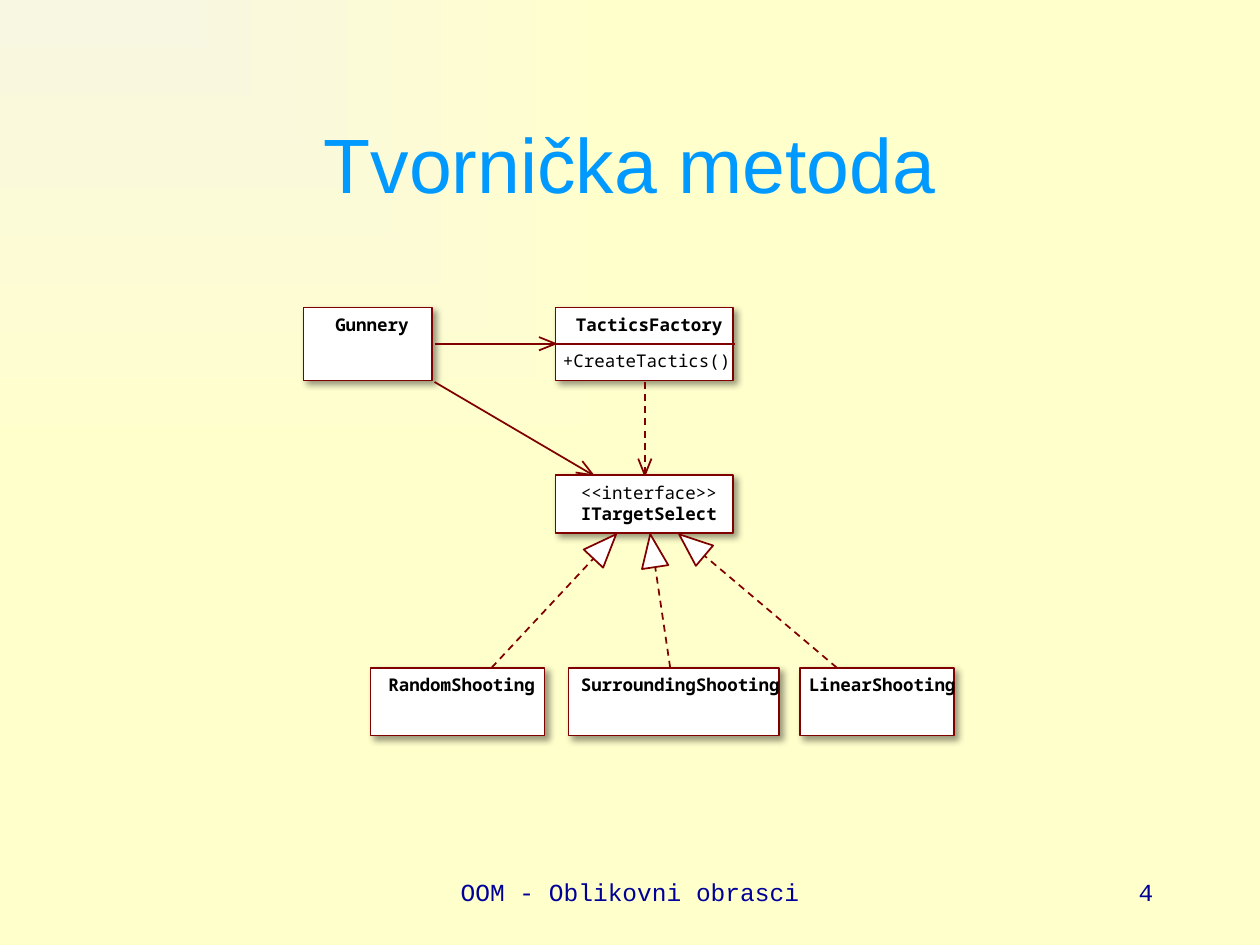
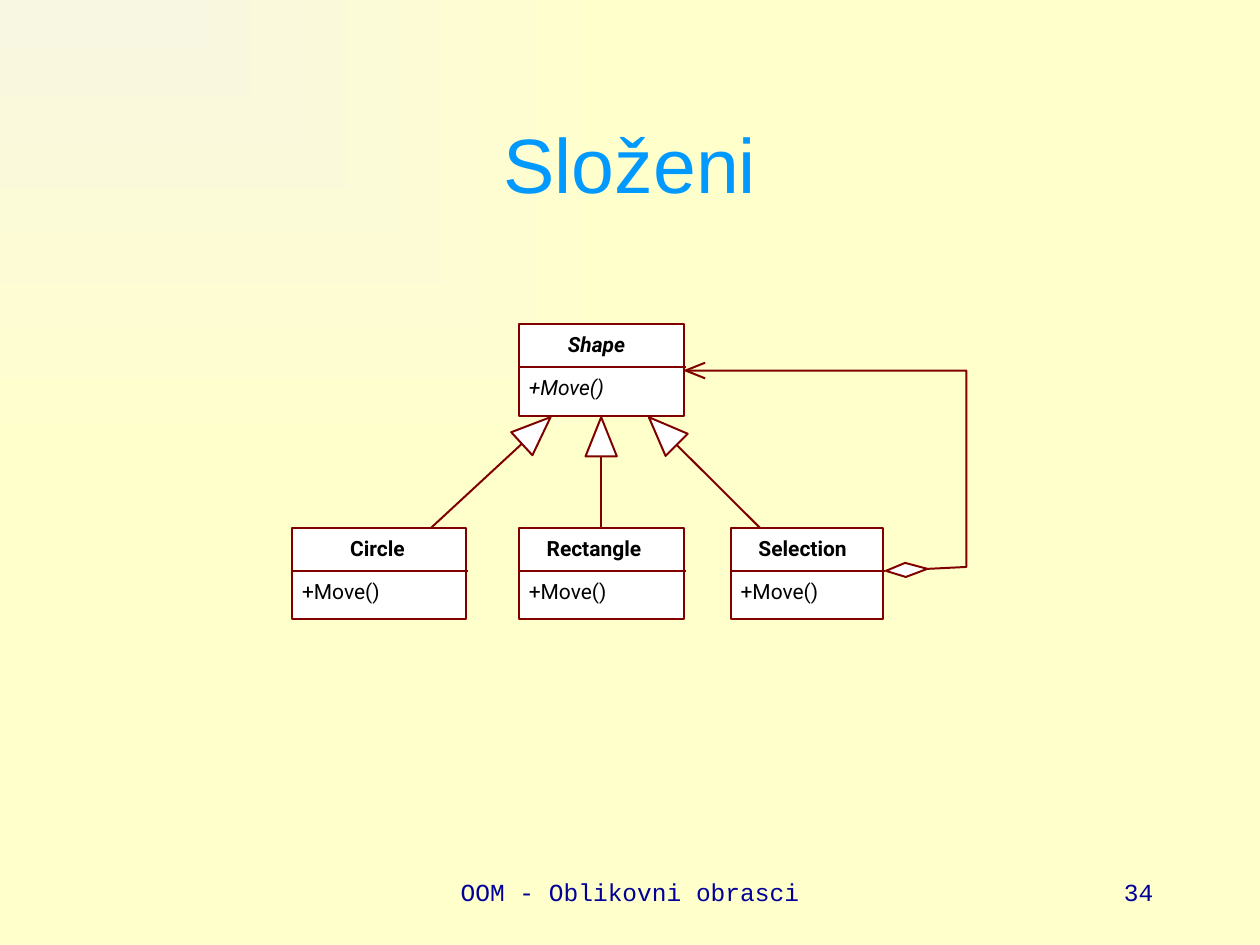
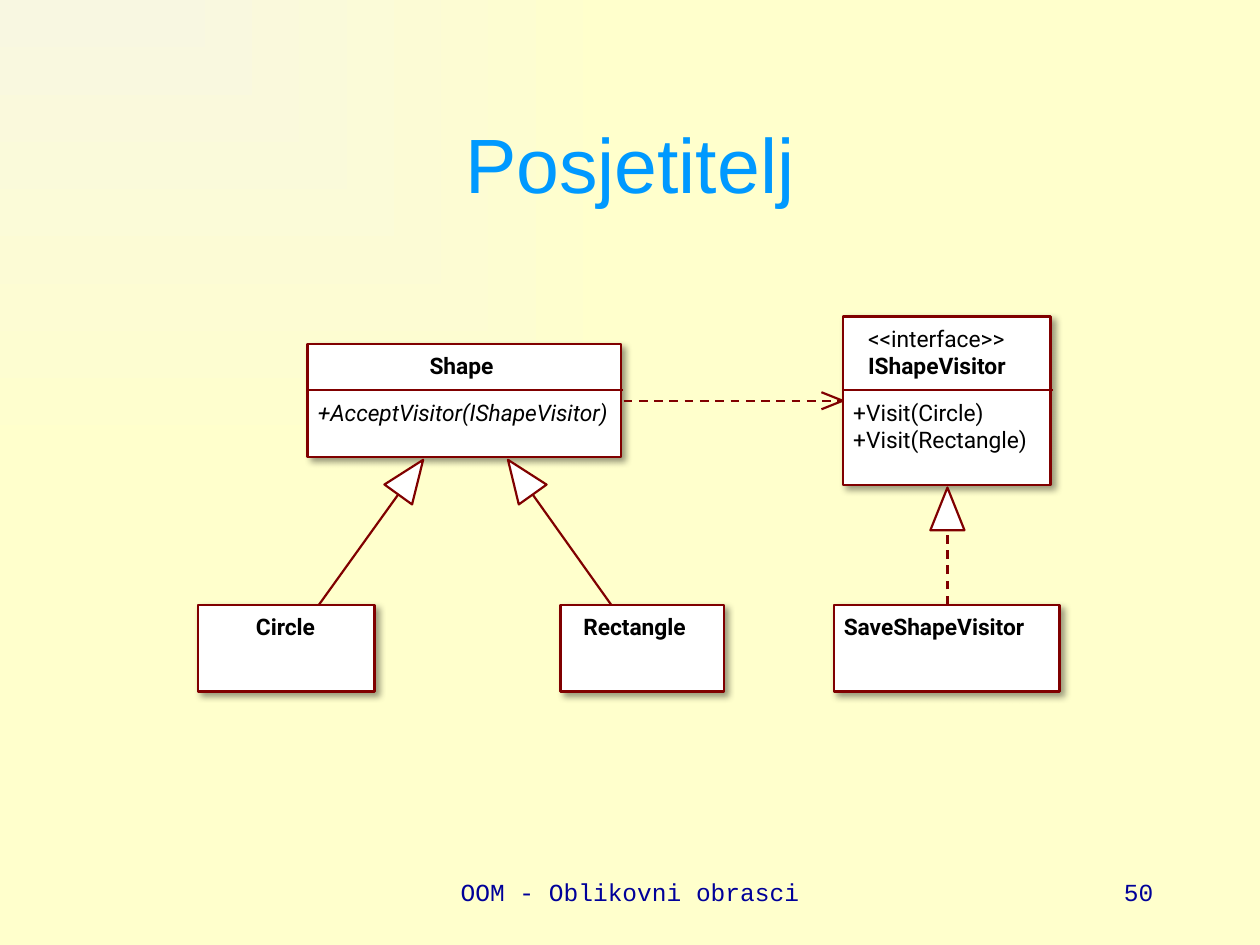
"""Builds three slides of UML class diagrams on design patterns."""

from dataclasses import dataclass
from math import hypot

from lxml.etree import SubElement as Sub
from pptx import Presentation as Deck
from pptx.dml.color import RGBColor as Rgb
from pptx.enum.dml import MSO_LINE as Dash
from pptx.enum.shapes import MSO_CONNECTOR as Wire, MSO_SHAPE as Form
from pptx.enum.text import MSO_ANCHOR as Anchor, MSO_AUTO_SIZE as Fit, PP_ALIGN as Align
from pptx.oxml.ns import qn
from pptx.shapes.group import GroupShape as Group
from pptx.slide import Slide
from pptx.util import Cm, Pt

Point = tuple[float, float]


@dataclass(frozen=True)
class Theme:
    glow: str = "F8F7E1"
    page: str = "FFFFCC"
    title: str = "0099FF"
    foot: str = "000099"
    line: str = "800000"
    fill: str = "FFFFFF"
    text: str = "000000"
    title_font: str = "Arial"
    foot_font: str = "Courier New"
    title_size: int = 44
    foot_size: int = 14
    foot_text: str = "OOM - Oblikovni obrasci"


@dataclass(frozen=True)
class Style:
    font: str
    size: int
    line: float
    head: float
    pad: float
    step: float
    gap: float
    side: float
    shade: bool = True


@dataclass(frozen=True)
class Word:
    text: str
    bold: bool = False
    slant: bool = False


@dataclass(frozen=True)
class Box:
    left: float
    top: float
    width: float
    height: float
    indent: float
    names: tuple[Word, ...]
    calls: tuple[Word, ...] = ()


@dataclass(frozen=True)
class Head:
    points: tuple[Point, ...]
    closed: bool = True


@dataclass(frozen=True)
class Link:
    points: tuple[Point, ...]
    head: Head
    dash: bool = False
    tail: Head | None = None


@dataclass(frozen=True)
class Page:
    title: str
    number: int
    style: Style
    boxes: tuple[Box, ...]
    links: tuple[Link, ...]


THEME = Theme()
KIND = Head(((1, 0.4), (0, 0), (1, -0.4)))
OPEN = Head(((0.5, 0.2), (0, 0), (0.5, -0.2)), False)
GEM = Head(((0.5, 0.18), (0, 0), (0.5, -0.18), (1.06, 0)))


def name(text: str, slant: bool = False) -> Word:
    return Word(text, True, slant)


def paint_page(deck: Deck) -> None:
    fill = deck.slide_master.background.fill
    fill.gradient()
    for stop, tint in zip(fill.gradient_stops, (THEME.glow, THEME.page)):
        stop.color.rgb = Rgb.from_string(tint)
    fill.gradient_stops[0].position, fill.gradient_stops[1].position = 0, 1
    grad = deck.slide_master.element.find(".//" + qn("p:bgPr") + "/" + qn("a:gradFill"))
    for lin in grad.findall(qn("a:lin")):
        grad.remove(lin)
    route = Sub(grad, qn("a:path"), {"path": "rect"})
    Sub(route, qn("a:fillToRect"), {"r": "100000", "b": "100000"})


def add_run(para, word: Word, font: str, size: int, tint: str) -> None:
    run = para.add_run()
    run.text = word.text
    run.font.name, run.font.size = font, Pt(size)
    run.font.bold, run.font.italic = word.bold, word.slant
    run.font.color.rgb = Rgb.from_string(tint)


def add_band(slide: Slide, text: str, left: float, top: float, width: float, height: float,
             align: Align, font: str, size: int, tint: str) -> None:
    frame = slide.shapes.add_textbox(Cm(left), Cm(top), Cm(width), Cm(height)).text_frame
    frame.word_wrap = True
    frame.vertical_anchor = Anchor.MIDDLE
    para = frame.paragraphs[0]
    para.alignment = align
    add_run(para, Word(text), font, size, tint)


def add_label(group: Group, word: Word, left: float, top: float, style: Style) -> None:
    width, height = 0.23 * len(word.text) + 0.3, 0.057 * style.size
    frame = group.shapes.add_textbox(Cm(left), Cm(top), Cm(width), Cm(height)).text_frame
    frame.margin_left = frame.margin_right = frame.margin_top = frame.margin_bottom = 0
    frame.word_wrap = False
    frame.auto_size = Fit.SHAPE_TO_FIT_TEXT
    add_run(frame.paragraphs[0], word, style.font, style.size, THEME.text)


def ink(shape, style: Style, dash: bool = False) -> None:
    shape.line.color.rgb = Rgb.from_string(THEME.line)
    shape.line.width = Pt(style.line)
    if dash:
        shape.line.dash_style = Dash.DASH


def coat(shape, style: Style, solid: bool) -> None:
    shape.shadow.inherit = False
    if solid:
        shape.fill.solid()
        shape.fill.fore_color.rgb = Rgb.from_string(THEME.fill)
    else:
        shape.fill.background()
    ink(shape, style)


def add_line(group: Group, start: Point, end: Point, style: Style, dash: bool = False) -> None:
    line = group.shapes.add_connector(Wire.STRAIGHT, *map(Cm, start + end))
    ink(line, style, dash)
    Sub(line.element.find(qn("p:spPr")), qn("a:effectLst"))


def add_path(group: Group, points: list[Point], style: Style, closed: bool) -> None:
    first, *rest = [(Cm(x), Cm(y)) for x, y in points]
    pen = group.shapes.build_freeform(*first)
    pen.add_line_segments(rest, close=closed)
    coat(pen.convert_to_shape(), style, closed)


def add_head(group: Group, head: Head, tip: Point, back: Point, style: Style) -> None:
    run, rise = back[0] - tip[0], back[1] - tip[1]
    unit = style.head / hypot(run, rise)
    points = [(tip[0] + unit * (a * run - b * rise), tip[1] + unit * (a * rise + b * run))
              for a, b in head.points]
    add_path(group, points, style, head.closed)


def add_shade(shape) -> None:
    room = shape.element.spPr.find(qn("a:effectLst"))
    shade = Sub(room, qn("a:outerShdw"), {
        "blurRad": str(Pt(4)), "dist": str(Pt(3)), "dir": "2700000",
        "algn": "tl", "rotWithShape": "0"})
    tint = Sub(shade, qn("a:srgbClr"), {"val": THEME.text})
    Sub(tint, qn("a:alpha"), {"val": "40000"})


def add_box(group: Group, box: Box, style: Style) -> None:
    shape = group.shapes.add_shape(
        Form.RECTANGLE, Cm(box.left), Cm(box.top), Cm(box.width), Cm(box.height))
    coat(shape, style, True)
    if style.shade:
        add_shade(shape)
    for row, word in enumerate(box.names):
        add_label(group, word, box.left + box.indent, box.top + style.pad + row * style.step, style)
    if box.calls:
        split = box.top + len(box.names) * style.step + style.gap
        add_line(group, (box.left, split), (box.left + box.width + 0.04, split), style)
        for row, word in enumerate(box.calls):
            add_label(group, word, box.left + style.side, split + style.pad + row * style.step, style)


def add_link(group: Group, link: Link, style: Style) -> None:
    points = link.points
    if len(points) == 2:
        add_line(group, *points, style, link.dash)
    else:
        add_path(group, list(points), style, False)
    add_head(group, link.head, points[-1], points[-2], style)
    if link.tail:
        add_head(group, link.tail, points[0], points[1], style)


def add_page(deck: Deck, page: Page) -> None:
    slide = deck.slides.add_slide(deck.slide_layouts[6])
    add_band(slide, page.title, 1.9, 1.7, 21.6, 3.18, Align.CENTER,
             THEME.title_font, THEME.title_size, THEME.title)
    foot = THEME.foot_font, THEME.foot_size, THEME.foot
    add_band(slide, THEME.foot_text, 8.68, 17.35, 8.05, 1.27, Align.CENTER, *foot)
    add_band(slide, str(page.number), 18.2, 17.35, 5.3, 1.27, Align.RIGHT, *foot)
    group = slide.shapes.add_group_shape()
    for box in page.boxes:
        add_box(group, box, page.style)
    for link in page.links:
        add_link(group, link, page.style)


MOVE = (Word("+Move()"),)
FACE = Word("<<interface>>")

PAGES = (
    Page("Tvornička metoda", 4, Style("Noto Sans Mono", 10, 1, 0.67, 0.13, 0.43, 0.3, 0.15), (
        Box(6.12, 6.2, 2.59, 1.47, 0.64, (name("Gunnery"),)),
        Box(11.2, 6.2, 3.58, 1.47, 0.41, (name("TacticsFactory"),), (Word("+CreateTactics()"),)),
        Box(11.2, 9.58, 3.58, 1.17, 0.51, (FACE, name("ITargetSelect"))),
        Box(7.47, 13.46, 3.51, 1.37, 0.36, (name("RandomShooting"),)),
        Box(11.46, 13.46, 4.24, 1.37, 0.25, (name("SurroundingShooting"),)),
        Box(16.13, 13.46, 3.1, 1.37, 0.18, (name("LinearShooting"),)),
    ), (
        Link(((9.91, 13.46), (12.42, 10.77)), KIND, True),
        Link(((13.51, 13.46), (13.11, 10.77)), KIND, True),
        Link(((16.87, 13.46), (13.69, 10.77)), KIND, True),
        Link(((8.76, 7.7), (11.96, 9.58)), OPEN),
        Link(((13, 7.7), (13, 9.58)), OPEN, True),
        Link(((8.76, 6.93), (11.2, 6.93)), OPEN),
    )),
    Page("Složeni", 34, Style("Roboto", 12, 1.13, 0.79, 0.15, 0.51, 0.36, 0.2, False), (
        Box(10.46, 6.53, 3.33, 1.85, 0.99, (name("Shape", True),), (Word("+Move()", slant=True),)),
        Box(5.89, 10.64, 3.51, 1.85, 1.17, (name("Circle"),), MOVE),
        Box(10.46, 10.64, 3.33, 1.85, 0.56, (name("Rectangle"),), MOVE),
        Box(14.73, 10.64, 3.07, 1.85, 0.56, (name("Selection"),), MOVE),
    ), (
        Link(((8.69, 10.64), (11.1, 8.41)), KIND),
        Link(((12.12, 10.64), (12.12, 8.41)), KIND),
        Link(((15.32, 10.64), (13.08, 8.41)), KIND),
        Link(((17.86, 11.51), (19.48, 11.43), (19.48, 7.47), (13.82, 7.47)), OPEN, tail=GEM),
    )),
    Page("Posjetitelj", 50, Style("Roboto", 13, 1.25, 0.86, 0.17, 0.55, 0.39, 0.21), (
        Box(6.2, 6.93, 6.32, 2.29, 2.46, (name("Shape"),),
            (Word("+AcceptVisitor(IShapeVisitor)", slant=True),)),
        Box(3.99, 12.19, 3.56, 1.75, 1.17, (name("Circle"),)),
        Box(11.3, 12.19, 3.3, 1.75, 0.46, (name("Rectangle"),)),
        Box(16.99, 6.38, 4.19, 3.4, 0.51, (FACE, name("IShapeVisitor")),
            (Word("+Visit(Circle)"), Word("+Visit(Rectangle)"))),
        Box(16.81, 12.19, 4.55, 1.75, 0.2, (name("SaveShapeVisitor"),)),
    ), (
        Link(((6.43, 12.19), (8.53, 9.27)), KIND),
        Link(((12.32, 12.19), (10.24, 9.27)), KIND),
        Link(((19.1, 12.19), (19.1, 9.83)), KIND, True),
        Link(((12.57, 8.08), (16.99, 8.08)), OPEN, True),
    )),
)


def main() -> None:
    deck = Deck()
    deck.slide_width, deck.slide_height = Cm(25.4), Cm(19.05)
    paint_page(deck)
    for page in PAGES:
        add_page(deck, page)
    deck.save("out.pptx")


main()
